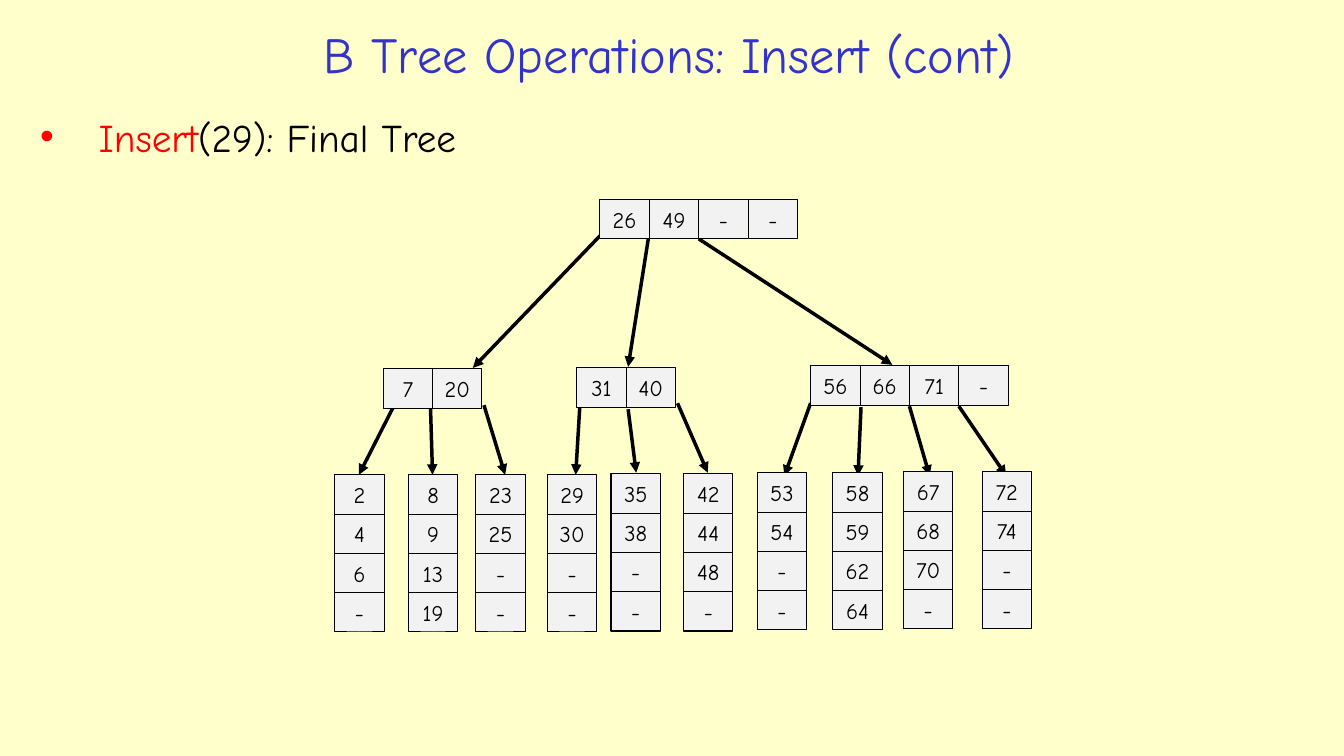
from dataclasses import dataclass

from lxml import etree
from pptx import Presentation
from pptx.dml import color
from pptx.enum import shapes, text
from pptx.oxml import ns
from pptx.util import Pt

PX = 9144  # EMU in one px, 100 px to the inch
CELL_W, CELL_H = 49, 39


@dataclass(frozen=True)
class Theme:
    font: str = "Comic Neue"
    page: str = "FFFFCC"
    title: str = "3333CC"
    accent: str = "FF0000"
    ink: str = "000000"
    cell: str = "F2F2F2"
    title_size: int = 36
    bullet_size: int = 28
    key_size: int = 16
    border: float = 0.75
    arrow: float = 2.5


THEME = Theme()

# Keys with left and top of each node
INNER_NODES = [
    (["26", "49", "-", "-"], 595, 198),
    (["7", "20"], 380, 366),
    (["31", "40"], 572, 365),
    (["56", "66", "71", "-"], 804, 363),
]
LEAVES = [
    (["2", "4", "6", "-"], 332, 471),
    (["8", "9", "13", "19"], 405, 471),
    (["23", "25", "-", "-"], 472, 471),
    (["29", "30", "-", "-"], 543, 471),
    (["35", "38", "-", "-"], 606, 470),
    (["42", "44", "48", "-"], 678, 470),
    (["53", "54", "-", "-"], 751, 469),
    (["58", "59", "62", "64"], 826, 469),
    (["67", "68", "70", "-"], 896, 468),
    (["72", "74", "-", "-"], 974, 468),
]
# Start and end of each pointer, grouped by parent node
POINTERS = [
    (595, 234, 469, 365), (643, 237, 623, 364), (693, 237, 885, 362),
    (390, 404, 356, 471), (427, 404, 429, 471), (480, 402, 501, 471),
    (575, 404, 571, 471), (623, 406, 631, 469), (672, 400, 702, 469),
    (804, 400, 778, 472), (854, 404, 851, 472), (902, 403, 922, 472),
    (951, 403, 998, 472),
]


def px(*lengths):
    return [length * PX for length in lengths]


def rgb(code):
    return color.RGBColor.from_string(code)


def format_frame(frame, **changes):
    values = dict(word_wrap=True, auto_size=text.MSO_AUTO_SIZE.NONE,
                  vertical_anchor=text.MSO_ANCHOR.MIDDLE) | changes
    for name, value in values.items():
        setattr(frame, name, value)


def add_words(paragraph, words, size, shade):
    run = paragraph.add_run()
    run.text = words
    for name, value in dict(name=THEME.font, size=Pt(size), bold=False).items():
        setattr(run.font, name, value)
    run.font.color.rgb = rgb(shade)


def place_title(slide, box, words):
    title = slide.shapes.title
    title.left, title.top, title.width, title.height = px(*box)
    format_frame(title.text_frame)
    heading = title.text_frame.paragraphs[0]
    heading.alignment = text.PP_ALIGN.CENTER
    add_words(heading, words, THEME.title_size, THEME.title)


def add_bullet(slide, box, parts):
    frame = slide.shapes.add_textbox(*px(*box)).text_frame
    format_frame(frame, vertical_anchor=text.MSO_ANCHOR.TOP)
    step = frame.paragraphs[0]
    props = step._p.get_or_add_pPr()
    props.set("marL", str(58 * PX))
    props.set("indent", str(-58 * PX))
    etree.SubElement(props, ns.qn("a:buFont")).set("typeface", "Arial")
    etree.SubElement(props, ns.qn("a:buChar")).set("char", "•")
    for words, shade in parts:
        add_words(step, words, THEME.bullet_size, shade)


def add_cell(slide, left, top, key):
    cell = slide.shapes.add_shape(shapes.MSO_SHAPE.RECTANGLE,
                                  *px(left, top, CELL_W, CELL_H))
    cell.shadow.inherit = False
    cell.fill.solid()
    cell.fill.fore_color.rgb = rgb(THEME.cell)
    cell.line.color.rgb = rgb(THEME.ink)
    cell.line.width = Pt(THEME.border)
    format_frame(cell.text_frame, margin_left=0, margin_right=0,
                 margin_top=0, margin_bottom=0)
    label = cell.text_frame.paragraphs[0]
    label.alignment = text.PP_ALIGN.CENTER
    add_words(label, key, THEME.key_size, THEME.ink)


def add_pointer(slide, ends):
    pointer = slide.shapes.add_connector(shapes.MSO_CONNECTOR.STRAIGHT, *px(*ends))
    pointer.line.color.rgb = rgb(THEME.ink)
    pointer.line.width = Pt(THEME.arrow)
    outline = pointer.line._get_or_add_ln()
    etree.SubElement(outline, ns.qn("a:tailEnd")).set("type", "triangle")
    etree.SubElement(pointer._element.spPr, ns.qn("a:effectLst"))


def draw_tree(slide, box):
    left, top = box[:2]
    # Pointers lie below the nodes
    for x1, y1, x2, y2 in POINTERS:
        add_pointer(slide, (left + x1 - 332, top + y1 - 198,
                            left + x2 - 332, top + y2 - 198))
    # Inner nodes run across, leaves run down
    for nodes, dx, dy in ((INNER_NODES, CELL_W, 0), (LEAVES, 0, CELL_H)):
        for keys, x, y in nodes:
            for i, key in enumerate(keys):
                add_cell(slide, left + x - 332 + i * dx,
                         top + y - 198 + i * dy, key)


def build_tree_slide(deck):
    slide = deck.slides.add_slide(deck.slide_layouts.get_by_name("Title Only"))
    slide.background.fill.solid()
    slide.background.fill.fore_color.rgb = rgb(THEME.page)
    place_title(slide, (97, 15, 1133, 76), "B Tree Operations: Insert (cont)")
    add_bullet(slide, (30, 107, 1267, 69),
               [("Insert", THEME.accent), ("(29): Final Tree", THEME.ink)])
    draw_tree(slide, (332, 198, 691, 429))


def main():
    deck = Presentation()
    deck.slide_width, deck.slide_height = px(1333, 750)
    build_tree_slide(deck)
    deck.save("out.pptx")


if __name__ == "__main__":
    main()
